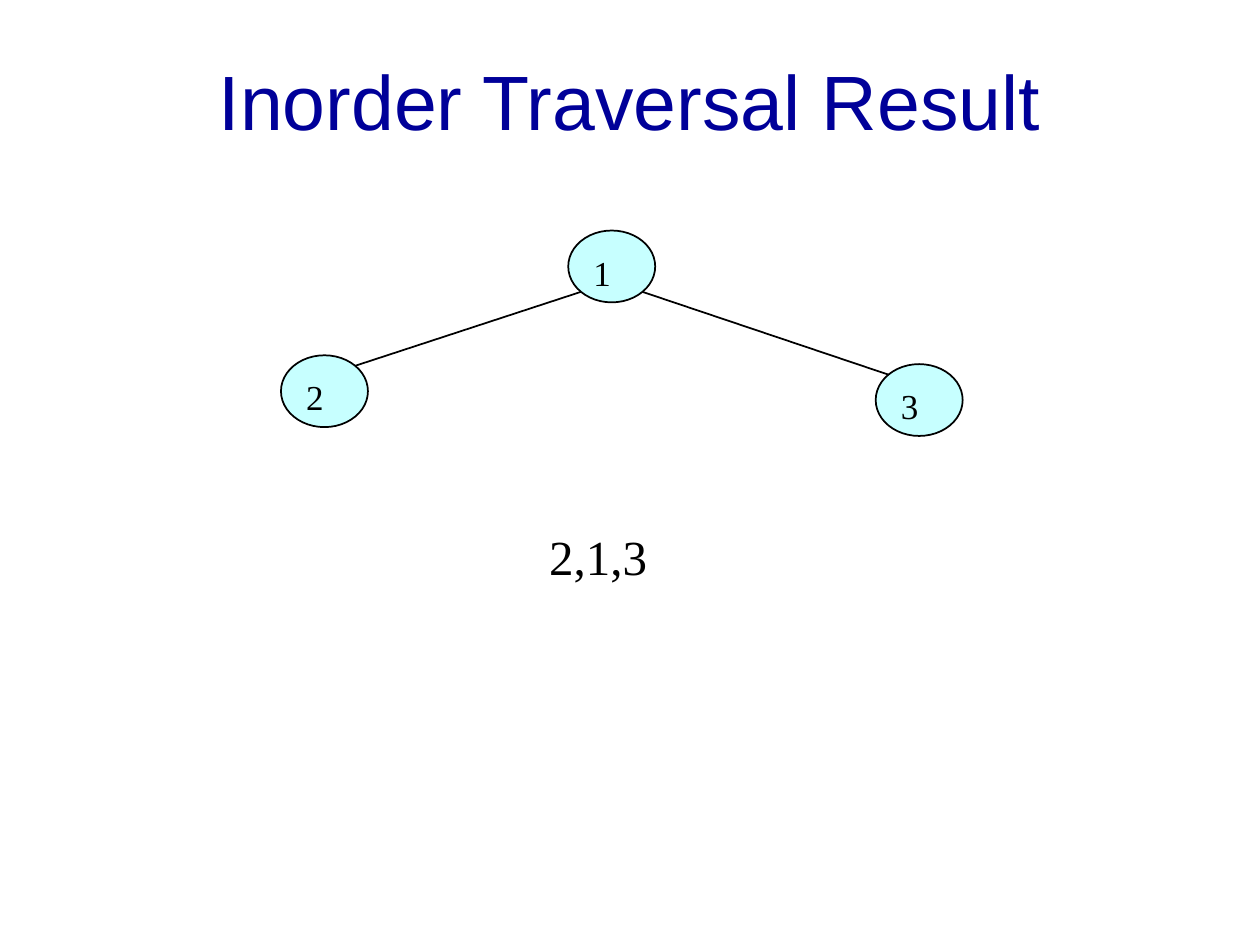
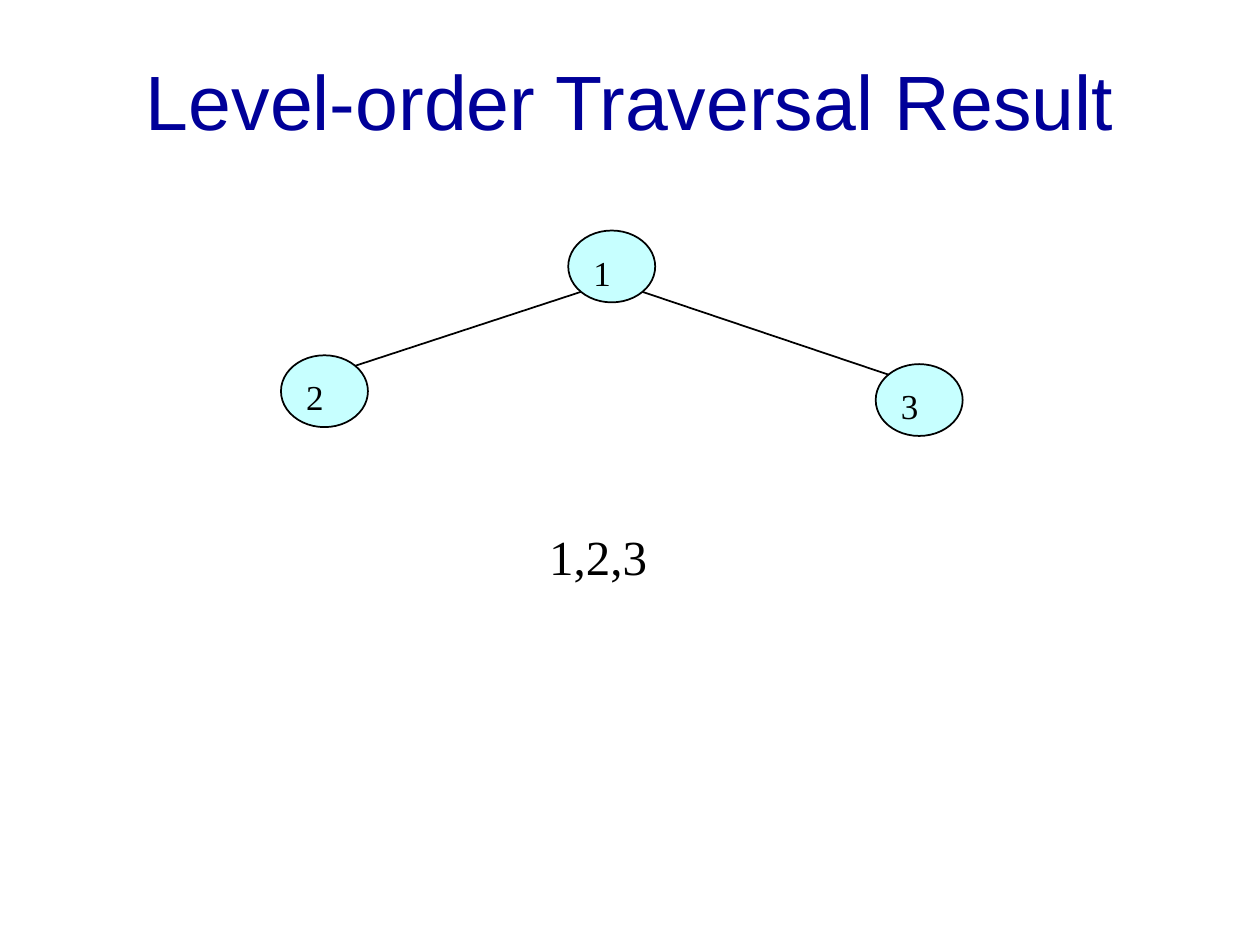
from dataclasses import dataclass
from math import sqrt

from lxml import etree
from pptx import Presentation
from pptx import util as u
from pptx.dml.color import RGBColor
from pptx.enum import shapes, text
from pptx.oxml.ns import qn


@dataclass(frozen=True)
class Theme:
    wide: float = 10
    high: float = 7.5
    navy: RGBColor = RGBColor(0x00, 0x00, 0x99)
    aqua: RGBColor = RGBColor(0xC7, 0xFF, 0xFF)
    black: RGBColor = RGBColor(0, 0, 0)
    sans: str = "Arial"
    serif: str = "Times New Roman"
    head: int = 44
    label: int = 20
    answer: int = 28
    stroke: int = 1


T = Theme()

# Tree: node centres and node size in inches, and parent-child pairs
NODES = {"1": (4.855, 2.115), "2": (2.575, 3.105), "3": (7.295, 3.175)}
NODE_W, NODE_H = 0.69, 0.57
EDGES = [("1", "2"), ("1", "3")]

# Slides: title and the order in which the nodes are visited
RESULTS = [
    ("Inorder Traversal Result", "2,1,3"),
    ("Level-order Traversal Result", "1,2,3"),
]


def place(shape, left, top, width, height):
    shape.left, shape.top = u.Inches(left), u.Inches(top)
    shape.width, shape.height = u.Inches(width), u.Inches(height)


def write(shape, words, face, size, color, align=text.PP_ALIGN.LEFT):
    frame = shape.text_frame
    frame.text = words
    para = frame.paragraphs[0]
    para.alignment = align
    font = para.runs[0].font
    font.name, font.size = face, u.Pt(size)
    font.color.rgb = color
    return frame


def add_title(slide, words):
    title = slide.shapes.title
    place(title, 0.075 * T.wide, 0.17, 0.85 * T.wide, 1.25)
    frame = write(title, words, T.sans, T.head, T.navy, text.PP_ALIGN.CENTER)
    frame.vertical_anchor = text.MSO_ANCHOR.MIDDLE
    frame.auto_size = text.MSO_AUTO_SIZE.NONE


def add_node(slide, name):
    x, y = NODES[name]
    node = slide.shapes.add_shape(shapes.MSO_SHAPE.OVAL, 0, 0, 0, 0)
    place(node, x - NODE_W / 2, y - NODE_H / 2, NODE_W, NODE_H)
    node.shadow.inherit = False
    node.fill.solid()
    node.fill.fore_color.rgb = T.aqua
    node.line.color.rgb = T.black
    node.line.width = u.Pt(T.stroke)
    frame = write(node, name, T.serif, T.label, T.black)
    frame.vertical_anchor = text.MSO_ANCHOR.TOP
    frame.margin_top = u.Inches(0.08)


def add_edge(slide, parent, child):
    """Join the lower diagonal of the parent to the upper one of the child."""
    (px, py), (cx, cy) = NODES[parent], NODES[child]
    dx, dy = NODE_W / sqrt(8), NODE_H / sqrt(8)
    if cx < px:
        dx = -dx
    ends = (px + dx, py + dy, cx - dx, cy - dy)
    edge = slide.shapes.add_connector(
        shapes.MSO_CONNECTOR.STRAIGHT, *map(u.Inches, ends))
    edge.line.color.rgb = T.black
    edge.line.width = u.Pt(T.stroke)
    etree.SubElement(edge._element.spPr, qn("a:effectLst"))


def add_answer(slide, order):
    box = slide.shapes.add_textbox(0, 0, 0, 0)
    place(box, 4.26, 4.08, 0.99, 0.57)
    frame = write(box, order, T.serif, T.answer, T.black)
    frame.margin_top = u.Inches(0.1)
    frame.word_wrap = False


def main():
    deck = Presentation()
    deck.slide_width, deck.slide_height = u.Inches(T.wide), u.Inches(T.high)
    layout = deck.slide_layouts.get_by_name("Title Only")
    for title, order in RESULTS:
        slide = deck.slides.add_slide(layout)
        add_title(slide, title)
        for name in NODES:
            add_node(slide, name)
        for parent, child in EDGES:
            add_edge(slide, parent, child)
        add_answer(slide, order)
    deck.save("out.pptx")


if __name__ == "__main__":
    main()
